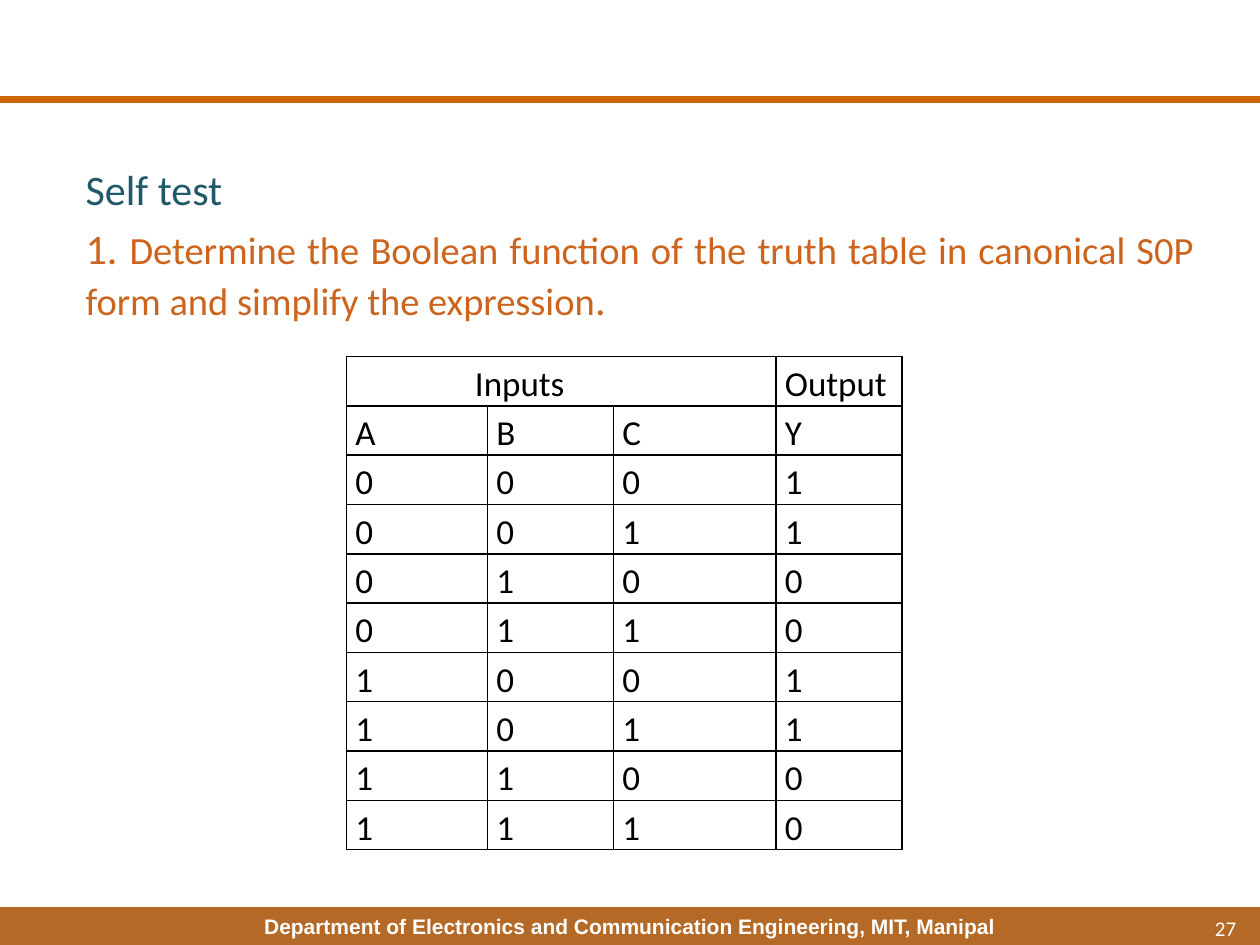
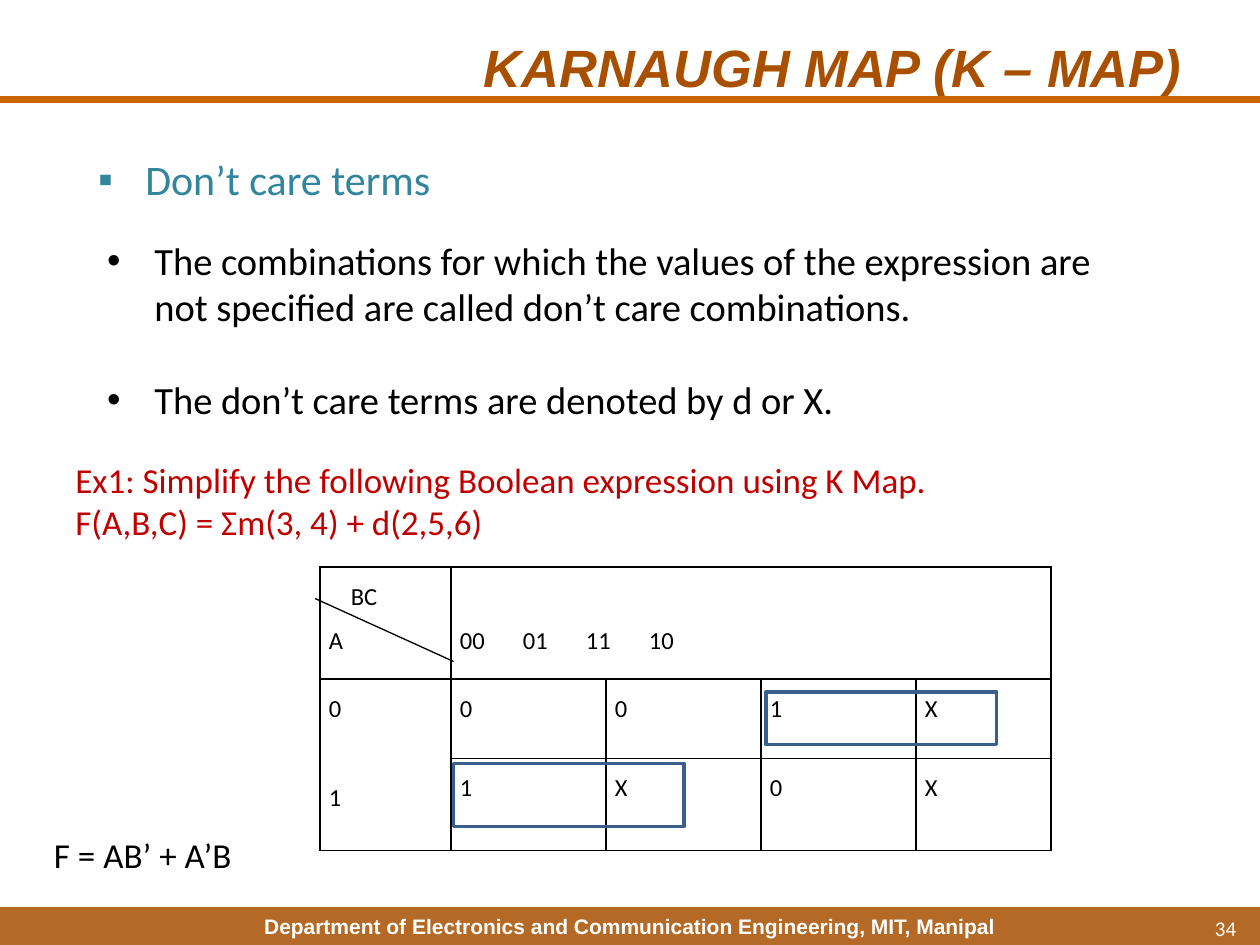
"""Build two lecture slides on truth tables and Karnaugh maps."""
from dataclasses import dataclass
from typing import NamedTuple

from lxml.etree import SubElement
from pptx import Presentation
from pptx.dml.color import RGBColor
from pptx.enum.shapes import MSO_CONNECTOR as Connector, MSO_SHAPE as Preset
from pptx.enum.text import MSO_ANCHOR as Anchor, MSO_AUTO_SIZE as AutoSize, PP_ALIGN as Align
from pptx.oxml import parse_xml
from pptx.oxml.ns import nsdecls, qn
from pptx.util import Inches, Length, Pt

COLORS = {
    "white": "FFFFFF", "black": "000000", "brand": "A85000", "rule": "CC6600",
    "heading": "215968", "question": "CD641E", "topic": "31859C",
    "exercise": "C00000", "loop": "3A5F8C",
}
SLIDE_WIDTH, SLIDE_HEIGHT = Inches(10), Inches(7.5)
GRID_COLUMNS, GRID_ROWS = 40, 30
BULLET_INDENT = 1.5
CELL_MARGIN = 0.28
FOOTER = "Department of Electronics and Communication Engineering, MIT, Manipal"


class Frame(NamedTuple):
    """Place and size in grid columns and rows."""
    left: float
    top: float
    width: float
    height: float


class Run(NamedTuple):
    """Text with its own size."""
    text: str
    size: float


@dataclass(frozen=True)
class Line:
    """One formatted paragraph."""
    text: str | tuple[Run, ...]
    size: float = 20
    color: str = "black"
    font: str = "Calibri"
    align: Align = Align.LEFT
    bullet: str = ""
    indent: float = 0
    tabs: tuple[float, ...] = ()
    before: float = 0
    spacing: float = 1
    bold: bool = False
    italic: bool = False


@dataclass(frozen=True)
class Grid:
    """Place, column widths and row heights of a table."""
    left: float
    top: float
    widths: tuple[float, ...]
    heights: tuple[float, ...]


NUMBER_FRAME = Frame(30.32, 28.68, 9.32, 1.6)
FOOTER_FRAME = Frame(0, 28.8, 40, 1.2)
TITLE_FRAME = Frame(2.72, 0.32, 35.2, 3.6)
RULE_ROW = 3.16
TRUTH_GRID = Grid(11, 11.32, (4.48, 4, 5.16, 4), (1.56,) * 10)
MAP_GRID = Grid(10.16, 18, (4.16, 4.92, 4.92, 4.92, 4.28), (3.56, 2.52, 2.92))
LOOPS = (Frame(24.32, 21.96, 7.32, 1.68), Frame(14.4, 24.24, 7.32, 2))
TRUTH_OUTPUTS = "11001100"
MAP_ROWS = ("001X", "1X0X")


def across(columns: float) -> Length:
    """Convert grid columns to a length."""
    return Length(round(SLIDE_WIDTH * columns / GRID_COLUMNS))


def down(rows: float) -> Length:
    """Convert grid rows to a length."""
    return Length(round(SLIDE_HEIGHT * rows / GRID_ROWS))


def place(frame: Frame) -> tuple[Length, ...]:
    """Convert a frame to lengths."""
    return across(frame.left), down(frame.top), across(frame.width), down(frame.height)


def rgb(name: str) -> RGBColor:
    """Look up a colour."""
    return RGBColor.from_string(COLORS[name])


def format_paragraph(paragraph, line: Line) -> None:
    """Fill one paragraph and format it."""
    runs = (Run(line.text, line.size),) if isinstance(line.text, str) else line.text
    for part in runs:
        run = paragraph.add_run()
        run.text = part.text
        if part.size != line.size:
            run.font.size = Pt(part.size)
    paragraph.alignment = line.align
    paragraph.space_before = Pt(line.before)
    paragraph.line_spacing = line.spacing
    properties = paragraph._p.get_or_add_pPr()
    margin = across(BULLET_INDENT if line.bullet else line.indent)
    properties.set("marL", str(margin))
    properties.set("indent", str(-margin if line.bullet else 0))
    if line.bullet:
        SubElement(properties, qn("a:buFont"), typeface="Arial")
        SubElement(properties, qn("a:buChar"), char=line.bullet)
    else:
        SubElement(properties, qn("a:buNone"))
    if line.tabs:
        stops = SubElement(properties, qn("a:tabLst"))
        for stop in line.tabs:
            SubElement(stops, qn("a:tab"), pos=str(across(stop)), algn="l")
    font = paragraph.font
    font.name, font.size = line.font, Pt(line.size)
    font.bold, font.italic = line.bold, line.italic
    font.color.rgb = rgb(line.color)


def write_lines(text_frame, *lines: Line) -> None:
    """Write paragraphs into an empty text frame."""
    for index, line in enumerate(lines):
        paragraph = text_frame.add_paragraph() if index else text_frame.paragraphs[0]
        format_paragraph(paragraph, line)


def fill_text(shape, *lines: Line, anchor: Anchor = Anchor.TOP) -> None:
    """Set up the text frame of a shape and write into it."""
    text_frame = shape.text_frame
    text_frame.word_wrap = True
    text_frame.auto_size = AutoSize.NONE
    text_frame.vertical_anchor = anchor
    write_lines(text_frame, *lines)


def add_text(slide, frame: Frame, *lines: Line, anchor: Anchor = Anchor.TOP) -> None:
    """Add a text box."""
    fill_text(slide.shapes.add_textbox(*place(frame)), *lines, anchor=anchor)


def fill_placeholder(shape, frame: Frame, *lines: Line, anchor: Anchor = Anchor.TOP) -> None:
    """Move a placeholder and write into it."""
    shape.left, shape.top, shape.width, shape.height = place(frame)
    fill_text(shape, *lines, anchor=anchor)


def add_line(slide, start: tuple[float, float], end: tuple[float, float],
             color: str, width: float) -> None:
    """Add a straight line between two grid points."""
    connector = slide.shapes.add_connector(
        Connector.STRAIGHT, across(start[0]), down(start[1]), across(end[0]), down(end[1]))
    connector.line.color.rgb = rgb(color)
    connector.line.width = Pt(width)
    SubElement(connector._element.spPr, qn("a:effectLst"))


def add_rectangle(slide, frame: Frame):
    """Add a rectangle without shadow."""
    shape = slide.shapes.add_shape(Preset.RECTANGLE, *place(frame))
    shape.shadow.inherit = False
    return shape


def add_loop(slide, frame: Frame) -> None:
    """Outline a group of map cells."""
    loop = add_rectangle(slide, frame)
    loop.fill.background()
    loop.line.color.rgb = rgb("loop")
    loop.line.width = Pt(2)


def add_slide(presentation, number: int):
    """Add a slide with the footer band, rule and slide number."""
    slide = presentation.slides.add_slide(presentation.slide_layouts[1])
    band = add_rectangle(slide, FOOTER_FRAME)
    band.fill.solid()
    band.fill.fore_color.rgb = rgb("brand")
    color = band._element.spPr.find(qn("a:solidFill"))[0]
    SubElement(color, qn("a:alpha"), val="85000")
    band.line.fill.background()
    fill_text(band, Line(FOOTER, 12, "white", "Arial", Align.CENTER, bold=True),
              anchor=Anchor.MIDDLE)
    add_line(slide, (0, RULE_ROW), (GRID_COLUMNS, RULE_ROW), "rule", 4.5)
    add_text(slide, NUMBER_FRAME, Line(str(number), 12, "white", align=Align.RIGHT),
             anchor=Anchor.MIDDLE)
    return slide


def format_cell(cell) -> None:
    """Give a cell its margins, clear fill and thin borders."""
    cell.margin_left = cell.margin_right = across(CELL_MARGIN)
    cell.margin_top = cell.margin_bottom = 0
    cell.fill.background()
    properties = cell._tc.get_or_add_tcPr()
    for index, side in enumerate("LRTB"):
        properties.insert(index, parse_xml(
            f'<a:ln{side} {nsdecls("a")} w="{Pt(1)}"><a:solidFill>'
            f'<a:srgbClr val="{COLORS["black"]}"/></a:solidFill></a:ln{side}>'))


def add_ruled_table(slide, grid: Grid):
    """Add an empty table with ruled cells."""
    frame = Frame(grid.left, grid.top, sum(grid.widths), sum(grid.heights))
    table = slide.shapes.add_table(
        len(grid.heights), len(grid.widths), *place(frame)).table
    table.first_row = table.horz_banding = False
    for column, width in zip(table.columns, grid.widths):
        column.width = across(width)
    for row, height in zip(table.rows, grid.heights):
        row.height = down(height)
    for cell in table.iter_cells():
        format_cell(cell)
    return table


def build_self_test(presentation) -> None:
    """Build the self-test slide with its truth table."""
    slide = add_slide(presentation, 27)
    title = slide.shapes.title
    title.element.getparent().remove(title.element)
    question = (
        Run("1. ", 24),
        Run("Determine the Boolean function of the truth table in canonical S0P "
            "form and simplify the expression", 22),
        Run(".", 24),
    )
    fill_placeholder(
        slide.placeholders[1], Frame(2.32, 5, 36, 6),
        Line("Self test", 24, "heading", align=Align.JUSTIFY),
        Line(question, 24, "question", align=Align.JUSTIFY, before=4.8))
    table = add_ruled_table(slide, TRUTH_GRID)
    table.cell(0, 0).merge(table.cell(0, 2))
    write_lines(table.cell(0, 0).text_frame, Line("Inputs", indent=3.8, spacing=1.15))
    write_lines(table.cell(0, 3).text_frame, Line("Output", spacing=1.15))
    rows = ["ABCY"] + [f"{index:03b}{output}" for index, output in enumerate(TRUTH_OUTPUTS)]
    for row, values in enumerate(rows, start=1):
        for column, value in enumerate(values):
            write_lines(table.cell(row, column).text_frame, Line(value, spacing=1.15))


def add_karnaugh_map(slide) -> None:
    """Add the map with its axis labels, values, loops and diagonal."""
    table = add_ruled_table(slide, MAP_GRID)
    corner, header, side = table.cell(0, 0), table.cell(0, 1), table.cell(1, 0)
    header.merge(table.cell(0, 4))
    side.merge(table.cell(2, 0))
    write_lines(corner.text_frame, Line("BC", 14, indent=0.7, spacing=1.5),
                Line("A", 14, spacing=1.5))
    header.margin_top = down(1.42)
    write_lines(header.text_frame,
                Line("00\t01\t11\t10", 14, tabs=(5, 9.84, 13.44), spacing=1.5))
    write_lines(side.text_frame, Line("0", 14, spacing=1.5),
                Line("1", 14, before=25.6, spacing=1.5))
    for row, values in enumerate(MAP_ROWS, start=1):
        for column, value in enumerate(values, start=1):
            write_lines(table.cell(row, column).text_frame, Line(value, 14, spacing=1.5))
    for loop in LOOPS:
        add_loop(slide, loop)
    add_line(slide, (10, 19), (14.4, 21), "black", 0.75)


def build_dont_care(presentation) -> None:
    """Build the slide on don't care terms."""
    slide = add_slide(presentation, 34)
    fill_placeholder(
        slide.shapes.title, TITLE_FRAME,
        Line("KARNAUGH MAP (K – MAP)", 30, "brand", "Arial", Align.RIGHT,
             bold=True, italic=True), anchor=Anchor.MIDDLE)
    add_text(slide, Frame(2.72, 4.68, 21.6, 2),
             Line("Don’t care terms", 24, "topic", bullet="▪"))
    fill_placeholder(
        slide.placeholders[1], Frame(3, 7.32, 34, 7.8),
        Line("The combinations for which the values of the expression are not "
             "specified are called don’t care combinations.", 22, bullet="•"),
        Line("The don’t care terms are denoted by d or X.", 22, bullet="•", before=26.8))
    add_text(slide, Frame(2, 14.36, 36, 3.08),
             Line("Ex1: Simplify the following Boolean expression using K Map.",
                  color="exercise"),
             Line("F(A,B,C) = Σm(3, 4) + d(2,5,6)", color="exercise"))
    add_karnaugh_map(slide)
    add_text(slide, Frame(1.32, 26.24, 6.52, 1.76), Line("F = AB’ + A’B"),
             anchor=Anchor.MIDDLE)


def main() -> None:
    """Build and save the presentation."""
    presentation = Presentation()
    presentation.slide_width, presentation.slide_height = SLIDE_WIDTH, SLIDE_HEIGHT
    build_self_test(presentation)
    build_dont_care(presentation)
    presentation.save("out.pptx")


if __name__ == "__main__":
    main()
